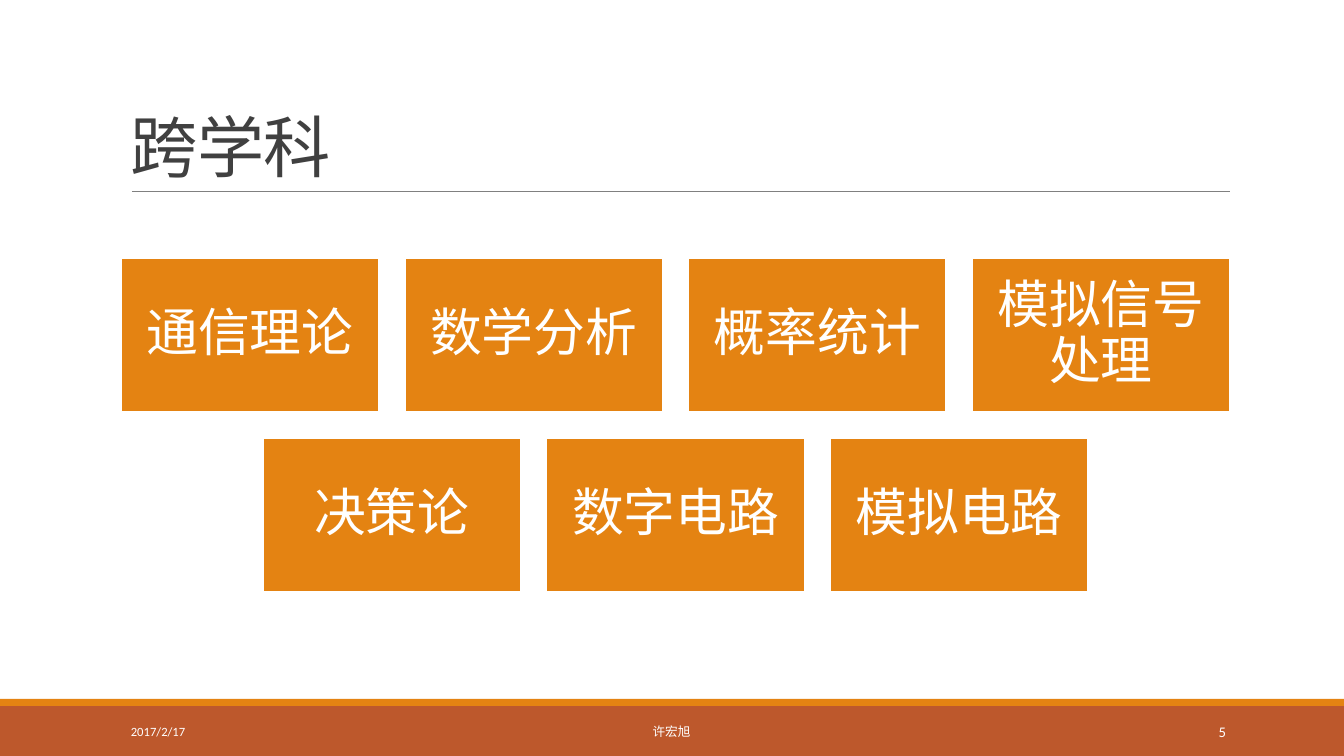
from lxml import etree
from pptx import Presentation
from pptx import util as u
from pptx.dml.color import RGBColor
from pptx.enum import shapes, text
from pptx.oxml.ns import qn

EMU_PER_PX = 914400 / 100.8
WIDTH, HEIGHT = 1344, 756
FONT = "Calibri"
COLORS = {
    "orange": "E48312",
    "rust": "BD582C",
    "title": "404040",
    "rule": "808080",
    "white": "FFFFFF",
}
SUBJECT_ROWS = [
    ["通信理论", "数学分析", "概率统计", "模拟信号处理"],
    ["决策论", "数字电路", "模拟电路"],
]


def px(value):
    return u.Emu(round(value * EMU_PER_PX))


def color(name):
    return RGBColor.from_string(COLORS[name])


def write(shape, words, size, color_name, align, anchor, line_spacing=1.0):
    frame = shape.text_frame
    frame.word_wrap = True
    frame.vertical_anchor = anchor
    paragraph = frame.paragraphs[0]
    paragraph.alignment = align
    paragraph.line_spacing = line_spacing
    run = paragraph.add_run()
    run.text = words
    run.font.size = u.Pt(size)
    run.font.name = FONT
    run.font.color.rgb = color(color_name)
    return run


def add_rectangle(slide, box, fill, border=None):
    shape = slide.shapes.add_shape(shapes.MSO_SHAPE.RECTANGLE, *map(px, box))
    shape.shadow.inherit = False
    shape.fill.solid()
    shape.fill.fore_color.rgb = color(fill)
    if border:
        shape.line.color.rgb = color(border)
        shape.line.width = u.Pt(1.25)
    else:
        shape.line.fill.background()
    return shape


def add_title(slide, box, words):
    left, top, width, height = box
    bottom = top + height
    rule = slide.shapes.add_connector(
        shapes.MSO_CONNECTOR.STRAIGHT,
        px(left + 11), px(bottom), px(left + width), px(bottom),
    )
    rule.line.color.rgb = color("rule")
    rule.line.width = u.Pt(0.5)
    etree.SubElement(rule._element.spPr, qn("a:effectLst"))
    title = slide.shapes.add_textbox(*map(px, box))
    run = write(title, words, 48, "title", text.PP_ALIGN.LEFT,
                text.MSO_ANCHOR.BOTTOM, 0.85)
    run._r.get_or_add_rPr().set("spc", "-50")


def add_subject_grid(slide, box, rows):
    left, top, width, height = box
    card_width, card_height = 258, 154
    columns = max(map(len, rows))
    column_step = (width - card_width) / (columns - 1)
    row_step = (height - card_height) / (len(rows) - 1)
    for row, subjects in enumerate(rows):
        indent = (columns - len(subjects)) * column_step / 2
        for column, subject in enumerate(subjects):
            card_box = (left + indent + column * column_step,
                        top + row * row_step, card_width, card_height)
            card = add_rectangle(slide, card_box, "orange", "white")
            frame = card.text_frame
            frame.margin_left = frame.margin_right = px(15)
            frame.margin_top = frame.margin_bottom = px(15)
            write(card, subject, 37, "white", text.PP_ALIGN.CENTER,
                  text.MSO_ANCHOR.MIDDLE, 0.9)


def add_footer(slide, box):
    left, top, width, height = box
    stripe = 7
    add_rectangle(slide, (left, top + stripe, width, height - stripe), "rust")
    add_rectangle(slide, (left, top, width, stripe), "orange")
    entries = [
        (121, 272, "2017/2/17", 9, text.PP_ALIGN.LEFT),
        (406, 531, "许宏旭", 9, text.PP_ALIGN.CENTER),
        (1092, 144, "5", 10.5, text.PP_ALIGN.RIGHT),
    ]
    for offset, entry_width, words, size, align in entries:
        entry = slide.shapes.add_textbox(
            px(left + offset), px(top + 13), px(entry_width), px(40))
        write(entry, words, size, "white", align, text.MSO_ANCHOR.MIDDLE)


def main():
    presentation = Presentation()
    presentation.slide_width = px(WIDTH)
    presentation.slide_height = px(HEIGHT)
    slide = presentation.slides.add_slide(presentation.slide_layouts[6])
    add_footer(slide, (0, 699, WIDTH, 57))
    add_title(slide, (121, 31, 1109, 160), "跨学科")
    add_subject_grid(slide, (121, 258, 1109, 334), SUBJECT_ROWS)
    presentation.save("out.pptx")


if __name__ == "__main__":
    main()
